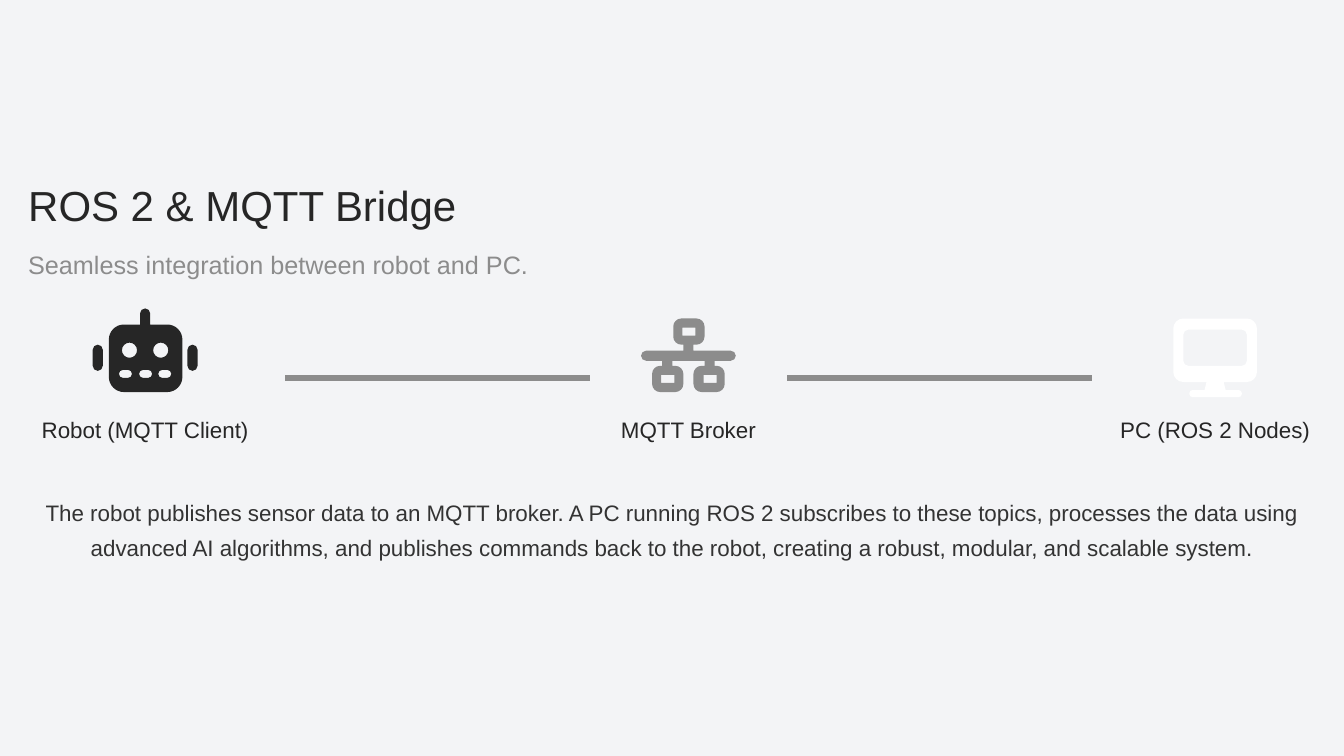
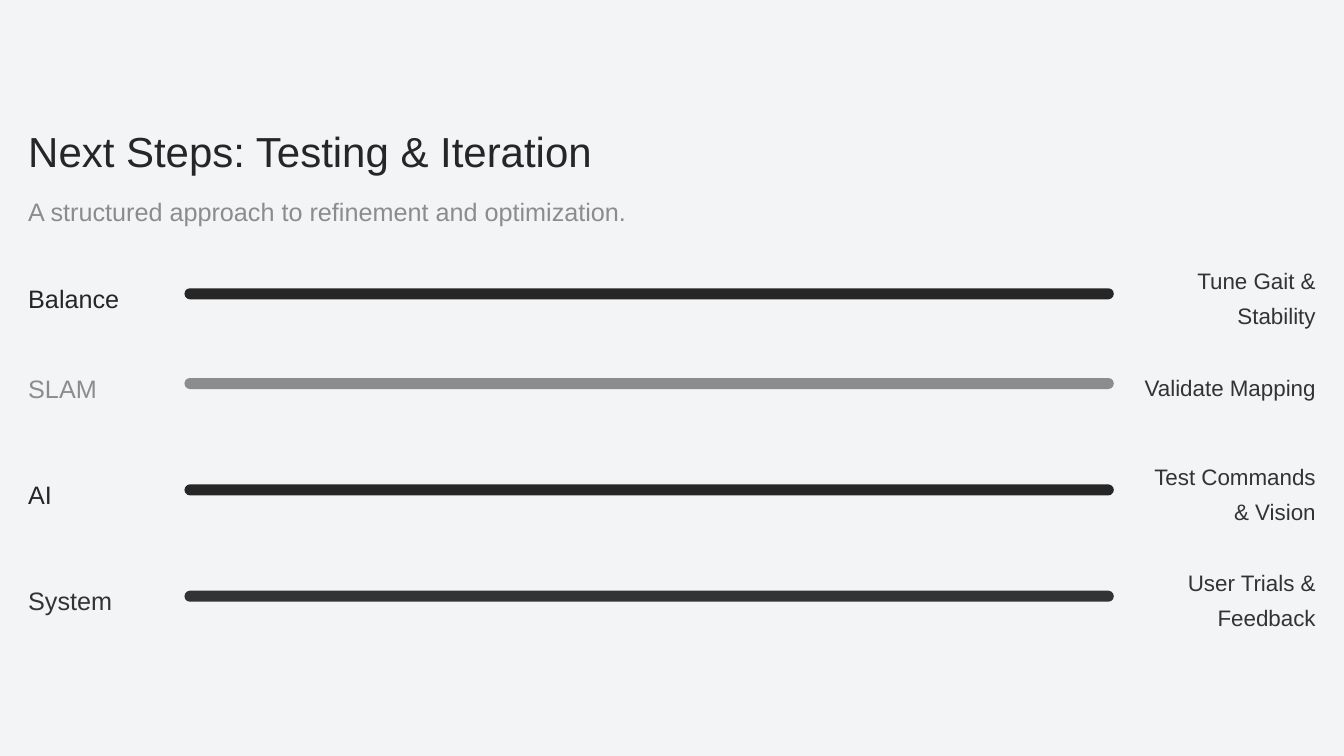
import math

import pptx
import pptx.dml.color
import pptx.enum.shapes
import pptx.enum.text
import pptx.oxml.ns
import pptx.util
from lxml import etree

PX = 9144  # EMU in one px, 100 px to the inch
SLIDE_H = 750
SLIDE_W = SLIDE_H * 16 / 9
MARGIN = 28
CONTENT_W = SLIDE_W - 2 * MARGIN
FONT = "Arial"
COLOURS = {
    "paper": "F3F4F6",
    "ink": "262626",
    "muted": "8C8C8C",
    "body": "333333",
    "white": "FFFFFF",
}
ALIGN = pptx.enum.text.PP_ALIGN

BRIDGE = {
    "title": "ROS 2 & MQTT Bridge",
    "title_top": 178,
    "subtitle": "Seamless integration between robot and PC.",
    "subtitle_top": 238,
    "summary": "The robot publishes sensor data to an MQTT broker. A PC running ROS 2 "
               "subscribes to these topics, processes the data using advanced AI algorithms, "
               "and publishes commands back to the robot, creating a robust, modular, and "
               "scalable system.",
}
# label, left, width, icon
STAGES = [
    ("Robot (MQTT Client)", 0, 288, "robot"),
    ("MQTT Broker", 580, 206, "network"),
    ("PC (ROS 2 Nodes)", 1078, 255, "computer"),
]
ICON_TOP, LABEL_TOP, LINK_Y = 306, 406, 375
LINK_OVERLAP, LINK_WEIGHT = 5, 6
SUMMARY_TOP = 472


def box(left, top, width, height, radius=0):
    """Corners of a rounded rectangle, as x, y, radius."""
    right, bottom = left + width, top + height
    return [(left, top, radius), (right, top, radius),
            (right, bottom, radius), (left, bottom, radius)]


# Each contour is a list of corners: x, y, radius. Contours inside another are cut out.
ICONS = {
    "robot": {
        "width": 104,
        "colour": "ink",
        "contours": [
            [(47, 0, 5), (57, 0, 5), (57, 16, 0), (89, 16, 15),
             (89, 83, 15), (16, 83, 15), (16, 16, 15), (47, 16, 0)],
            *[box(x, 61, 13, 8, 4) for x in (26, 46, 65)],
            *[box(x, 34, 15, 15, 7.5) for x in (29, 60)],
            *[box(x, 36, 10, 26, 5) for x in (0, 94)],
        ],
    },
    "network": {
        "width": 94,
        "colour": "muted",
        "contours": [
            [(32, 10, 8), (63, 10, 8), (63, 36, 8), (52, 36, 0), (52, 42, 0),
             (94, 42, 5), (94, 52, 5), (73, 52, 0), (73, 57, 0), (83, 57, 8),
             (83, 83, 8), (52, 83, 8), (52, 57, 8), (63, 57, 0), (63, 52, 0),
             (31, 52, 0), (31, 57, 0), (42, 57, 8), (42, 83, 8), (11, 83, 8),
             (11, 57, 8), (21, 57, 0), (21, 52, 0), (0, 52, 5), (0, 42, 5),
             (42, 42, 0), (42, 36, 0), (32, 36, 8)],
            *[box(x, y, 13, 8) for x, y in ((41, 19), (62, 66), (20, 66))],
        ],
    },
    "computer": {
        "width": 83,
        "colour": "white",
        "contours": [
            [(0, 10, 10), (83, 10, 10), (83, 73, 10), (50, 73, 0), (52, 81, 0),
             (68, 81, 3), (68, 88, 3), (16, 88, 3), (16, 81, 3), (31, 81, 0),
             (33, 73, 0), (0, 73, 10)],
            box(10, 21, 63, 36, 5),
        ],
    },
}

NEXT_STEPS = {
    "title": "Next Steps: Testing & Iteration",
    "title_top": 125,
    "subtitle": "A structured approach to refinement and optimization.",
    "subtitle_top": 186,
}
# area, task, colour, row height
STEPS = [
    ("Balance", "Tune Gait & Stability", "ink", 67),
    ("SLAM", "Validate Mapping", "muted", 67),
    ("AI", "Test Commands & Vision", "ink", 100),
    ("System", "User Trials & Feedback", "body", 67),
]
STEPS_TOP, STEP_GAP = 258, 22
AREA_W, AREA_H = 189, 39
BAR_LEFT, BAR_W, BAR_H = 183, 922, 11
TASK_LEFT = 1128
TASK_W = SLIDE_W - MARGIN - TASK_LEFT


def px(*lengths):
    return [pptx.util.Emu(round(n * PX)) for n in lengths]


def rgb(name):
    return pptx.dml.color.RGBColor.from_string(COLOURS[name])


def write(holder, text, *, size, colour, align=ALIGN.LEFT, spacing=1.3):
    frame = holder.text_frame
    frame.auto_size = pptx.enum.text.MSO_AUTO_SIZE.NONE
    frame.word_wrap = True
    frame.vertical_anchor = pptx.enum.text.MSO_ANCHOR.MIDDLE
    frame.margin_left = frame.margin_top = frame.margin_right = frame.margin_bottom = 0
    frame.text = text
    paragraph = frame.paragraphs[0]
    paragraph.alignment = align
    paragraph.line_spacing = spacing
    paragraph.space_before = pptx.util.Pt(0)
    paragraph.font.name = FONT
    paragraph.font.size = pptx.util.Pt(size)
    paragraph.font.color.rgb = rgb(colour)


def add_text(slide, area, text, **style):
    write(slide.shapes.add_textbox(*px(*area)), text, **style)


def paint(shape, colour):
    shape.shadow.inherit = False
    shape.fill.solid()
    shape.fill.fore_color.rgb = rgb(colour)
    shape.line.fill.background()


def toward(start, end, distance):
    """Point at a distance from start on the way to end."""
    share = distance / math.dist(start[:2], end[:2])
    return tuple(a + (b - a) * share for a, b in zip(start[:2], end[:2]))


def add_command(outline, tag, *points):
    command = etree.SubElement(outline, pptx.oxml.ns.qn(f"a:{tag}"))
    for x, y in points:
        etree.SubElement(command, pptx.oxml.ns.qn("a:pt"),
                         x=str(round(x * PX)), y=str(round(y * PX)))


def draw_contour(outline, corners):
    """Append a closed contour whose corners are rounded by Bezier curves."""
    tag = "moveTo"
    for i, corner in enumerate(corners):
        before, after = corners[i - 1], corners[(i + 1) % len(corners)]
        radius = corner[2]
        add_command(outline, tag, toward(corner, before, radius))
        tag = "lnTo"
        if radius:
            handle = 0.45 * radius
            add_command(outline, "cubicBezTo", toward(corner, before, handle),
                        toward(corner, after, handle), toward(corner, after, radius))
    add_command(outline, "close")


def add_icon(slide, icon, left, top):
    contours = icon["contours"]
    rise = min(y for contour in contours for _, y, _ in contour)
    builder = None
    for contour in contours:
        points = [px(x, y - rise) for x, y, _ in contour]
        if builder is None:
            builder = slide.shapes.build_freeform(*points[0])
        else:
            builder.move_to(*points[0])
        builder.add_line_segments(points[1:], close=True)
    shape = builder.convert_to_shape(*px(left, top + rise))
    paint(shape, icon["colour"])
    outline = next(shape._element.iter(pptx.oxml.ns.qn("a:path")))
    for straight in list(outline):
        outline.remove(straight)
    for contour in contours:
        draw_contour(outline, [(x, y - rise, radius) for x, y, radius in contour])


def add_link(slide, start, end, y):
    link = slide.shapes.add_connector(
        pptx.enum.shapes.MSO_CONNECTOR.STRAIGHT, *px(start, y, end, y))
    link.line.width = px(LINK_WEIGHT)[0]
    link.line.color.rgb = rgb("muted")
    etree.SubElement(link._element.spPr, pptx.oxml.ns.qn("a:effectLst"))


def add_titled_slide(prs, content):
    slide = prs.slides.add_slide(prs.slide_layouts[5])
    title = slide.shapes.title
    title.left, title.top, title.width, title.height = px(
        MARGIN, content["title_top"], CONTENT_W, 50)
    write(title, content["title"], size=30, colour="ink", spacing=1.0)
    add_text(slide, (MARGIN, content["subtitle_top"], CONTENT_W, 39), content["subtitle"],
             size=18, colour="muted")
    return slide


def build_bridge(prs):
    slide = add_titled_slide(prs, BRIDGE)
    for label, left, width, icon_name in STAGES:
        icon = ICONS[icon_name]
        add_icon(slide, icon, left + (width - icon["width"]) / 2, ICON_TOP)
        add_text(slide, (left, LABEL_TOP, width, 33), label,
                 size=16, colour="ink", align=ALIGN.CENTER)
    for (_, left, width, _), (_, next_left, _, _) in zip(STAGES, STAGES[1:]):
        add_link(slide, left + width - LINK_OVERLAP, next_left + LINK_OVERLAP, LINK_Y)
    add_text(slide, (MARGIN, SUMMARY_TOP, CONTENT_W, 100), BRIDGE["summary"],
             size=16, colour="body", align=ALIGN.CENTER)


def build_next_steps(prs):
    slide = add_titled_slide(prs, NEXT_STEPS)
    top = STEPS_TOP
    for area, task, colour, height in STEPS:
        middle = top + height / 2
        add_text(slide, (MARGIN, middle - AREA_H / 2, AREA_W, AREA_H), area,
                 size=18, colour=colour)
        bar = slide.shapes.add_shape(
            pptx.enum.shapes.MSO_SHAPE.ROUNDED_RECTANGLE,
            *px(BAR_LEFT, middle - BAR_H / 2, BAR_W, BAR_H))
        bar.adjustments[0] = 0.5
        paint(bar, colour)
        add_text(slide, (TASK_LEFT, top, TASK_W, height), task,
                 size=16, colour="body", align=ALIGN.RIGHT)
        top += height + STEP_GAP


def main():
    prs = pptx.Presentation()
    prs.slide_width, prs.slide_height = px(SLIDE_W, SLIDE_H)
    backdrop = prs.slide_master.background.fill
    backdrop.solid()
    backdrop.fore_color.rgb = rgb("paper")
    build_bridge(prs)
    build_next_steps(prs)
    prs.save("out.pptx")


if __name__ == "__main__":
    main()
